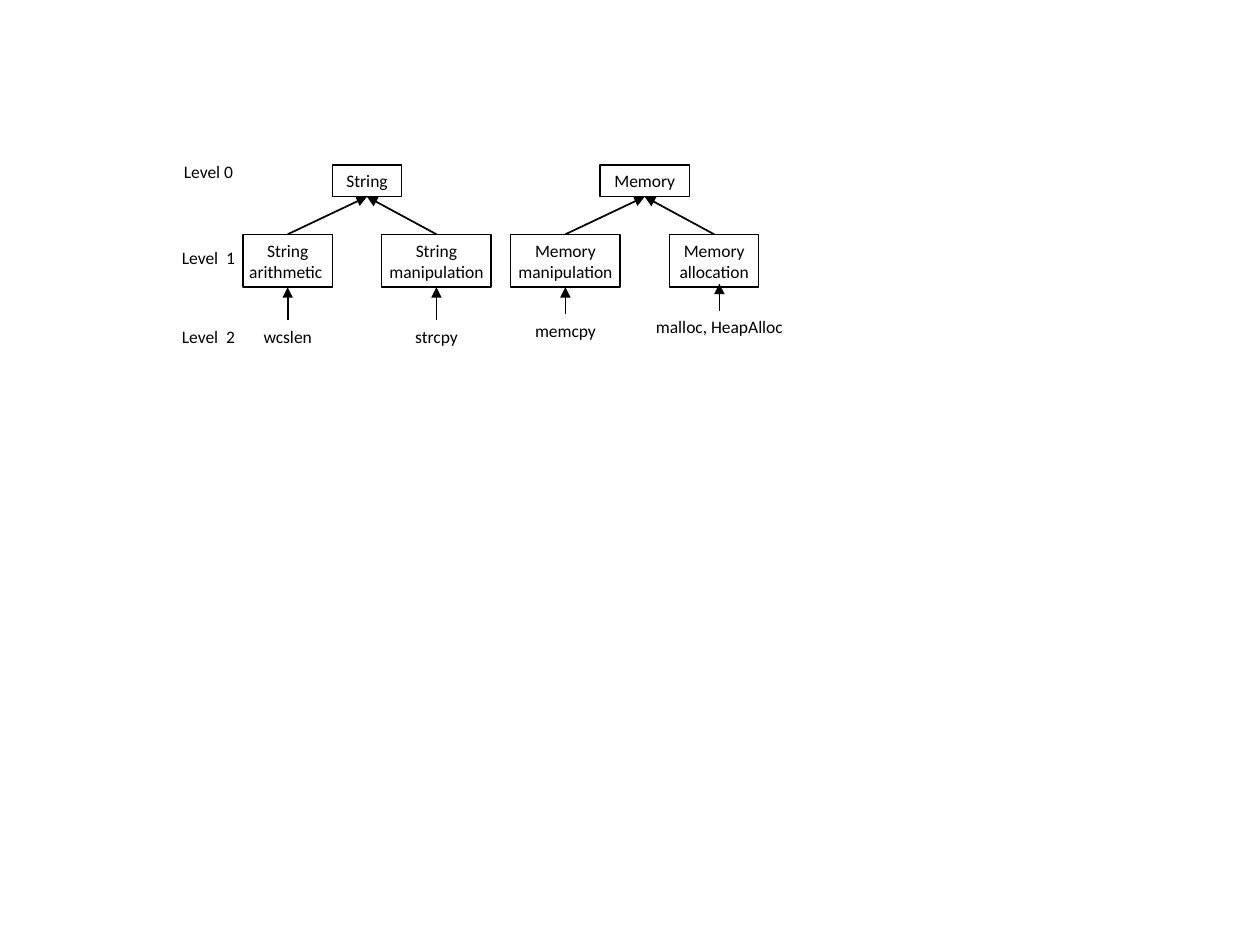
from dataclasses import dataclass

from lxml import etree
from pptx import Presentation
from pptx.dml.color import RGBColor
from pptx.enum.shapes import MSO_CONNECTOR, MSO_SHAPE
from pptx.enum.text import MSO_ANCHOR, MSO_AUTO_SIZE, PP_ALIGN
from pptx.oxml.ns import qn
from pptx.util import Pt

RECTANGLE = MSO_SHAPE.RECTANGLE
STRAIGHT = MSO_CONNECTOR.STRAIGHT
CENTER = PP_ALIGN.CENTER
TOP, MIDDLE = MSO_ANCHOR.TOP, MSO_ANCHOR.MIDDLE
FIT_TEXT = MSO_AUTO_SIZE.SHAPE_TO_FIT_TEXT


@dataclass(frozen=True)
class Theme:
    ink: RGBColor = RGBColor(0, 0, 0)
    font: str = "Calibri"
    text_size: float = 10
    box_line: float = 0.75
    arrow_line: float = 1


@dataclass(frozen=True)
class Leaf:
    category: str
    center: float
    width: float
    functions: str
    functions_center: float
    functions_top: float
    functions_width: float
    arrow_x: float
    arrow_start: float
    arrow_end: float


@dataclass(frozen=True)
class Tree:
    root: str
    center: float
    width: float
    leaves: tuple[Leaf, ...]


THEME = Theme()
ROOT_TOP, ROOT_HEIGHT = 94.25, 18.2
LEAF_TOP, LEAF_HEIGHT = 133.9, 30.2
ROOT_BOTTOM, LEAF_BOTTOM = ROOT_TOP + ROOT_HEIGHT, LEAF_TOP + LEAF_HEIGHT
LABEL_WIDTH, LABEL_HEIGHT, LEVEL_CENTER = 51, 19.4, 119.1

LEVELS = (("Level 0", 88.6), ("Level  1", 137.5), ("Level  2", 182.9))
TREES = (
    Tree("String", 209.7, 39.6, (
        Leaf("String arithmetic ", 164.4, 51, "wcslen", 164.4, 182.9, 51,
             164.4, 182.9, LEAF_BOTTOM),
        Leaf("String manipulation", 249.4, 62.6, "strcpy", 249.4, 182.9, 51,
             249.4, 182.9, LEAF_BOTTOM))),
    Tree("Memory", 368.4, 51, (
        Leaf("Memory manipulation", 323.1, 62.6, "memcpy", 323.1, 179.3, 51,
             323.1, 179.3, LEAF_BOTTOM),
        Leaf("Memory allocation", 408.1, 51, "malloc, HeapAlloc", 411.1, 177.1, 90.7,
             411.1, 177.7, 162.1))),
)


def write_text(shape, text: str, anchor: MSO_ANCHOR) -> None:
    frame = shape.text_frame
    frame.word_wrap = True
    frame.auto_size = FIT_TEXT
    frame.vertical_anchor = anchor
    paragraph = frame.paragraphs[0]
    paragraph.alignment = CENTER
    run = paragraph.add_run()
    run.text = text
    run.font.name = THEME.font
    run.font.size = Pt(THEME.text_size)
    run.font.color.rgb = THEME.ink


def add_label(slide, text: str, center: float, top: float,
              width: float = LABEL_WIDTH) -> None:
    shape = slide.shapes.add_textbox(
        Pt(center - width / 2), Pt(top), Pt(width), Pt(LABEL_HEIGHT))
    write_text(shape, text, TOP)


def add_box(slide, text: str, center: float, top: float,
            width: float, height: float) -> None:
    shape = slide.shapes.add_shape(
        RECTANGLE, Pt(center - width / 2), Pt(top), Pt(width), Pt(height))
    shape.shadow.inherit = False
    shape.fill.background()
    shape.line.color.rgb = THEME.ink
    shape.line.width = Pt(THEME.box_line)
    frame = shape.text_frame
    frame.margin_left = frame.margin_right = Pt(2.88)
    frame.margin_top = frame.margin_bottom = Pt(2.88)
    write_text(shape, text, MIDDLE)


def add_arrow(slide, start: tuple[float, float], end: tuple[float, float]) -> None:
    connector = slide.shapes.add_connector(
        STRAIGHT, *(Pt(value) for value in start + end))
    connector.line.color.rgb = THEME.ink
    connector.line.width = Pt(THEME.arrow_line)
    properties = connector.line._get_or_add_ln()
    etree.SubElement(properties, qn("a:tailEnd"), type="triangle")
    etree.SubElement(connector._element.spPr, qn("a:effectLst"))


def add_tree(slide, tree: Tree) -> None:
    add_box(slide, tree.root, tree.center, ROOT_TOP, tree.width, ROOT_HEIGHT)
    for leaf in tree.leaves:
        add_box(slide, leaf.category, leaf.center, LEAF_TOP, leaf.width, LEAF_HEIGHT)
        add_label(slide, leaf.functions, leaf.functions_center,
                  leaf.functions_top, leaf.functions_width)
        add_arrow(slide, (leaf.center, LEAF_TOP), (tree.center, ROOT_BOTTOM))
        add_arrow(slide, (leaf.arrow_x, leaf.arrow_start),
                  (leaf.arrow_x, leaf.arrow_end))


# Blank slide
presentation = Presentation()
presentation.slide_width, presentation.slide_height = Pt(720), Pt(540)
slide = presentation.slides.add_slide(presentation.slide_layouts[6])

# Level names
for level, top in LEVELS:
    add_label(slide, level, LEVEL_CENTER, top)

# Category trees
for tree in TREES:
    add_tree(slide, tree)

presentation.save("out.pptx")
